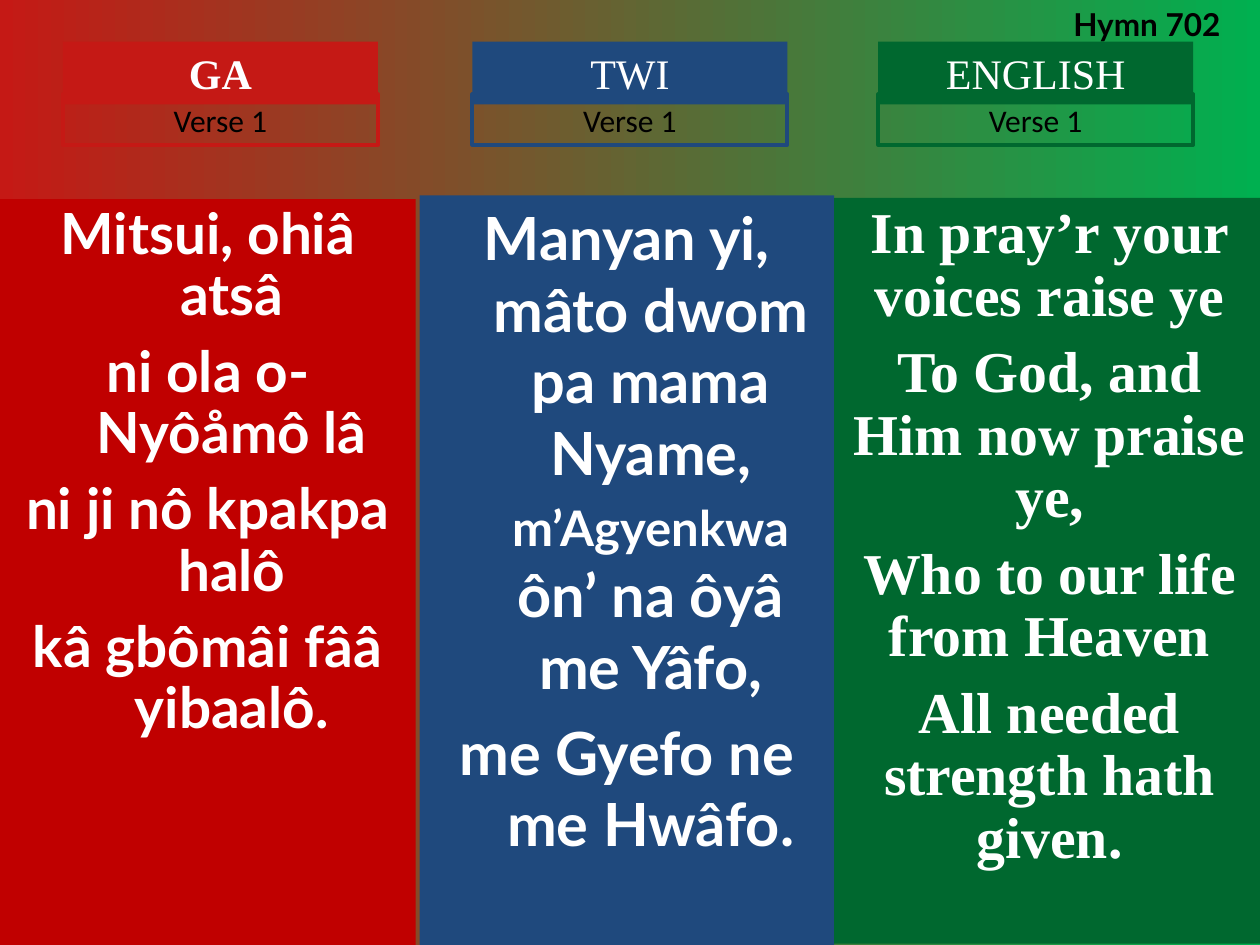
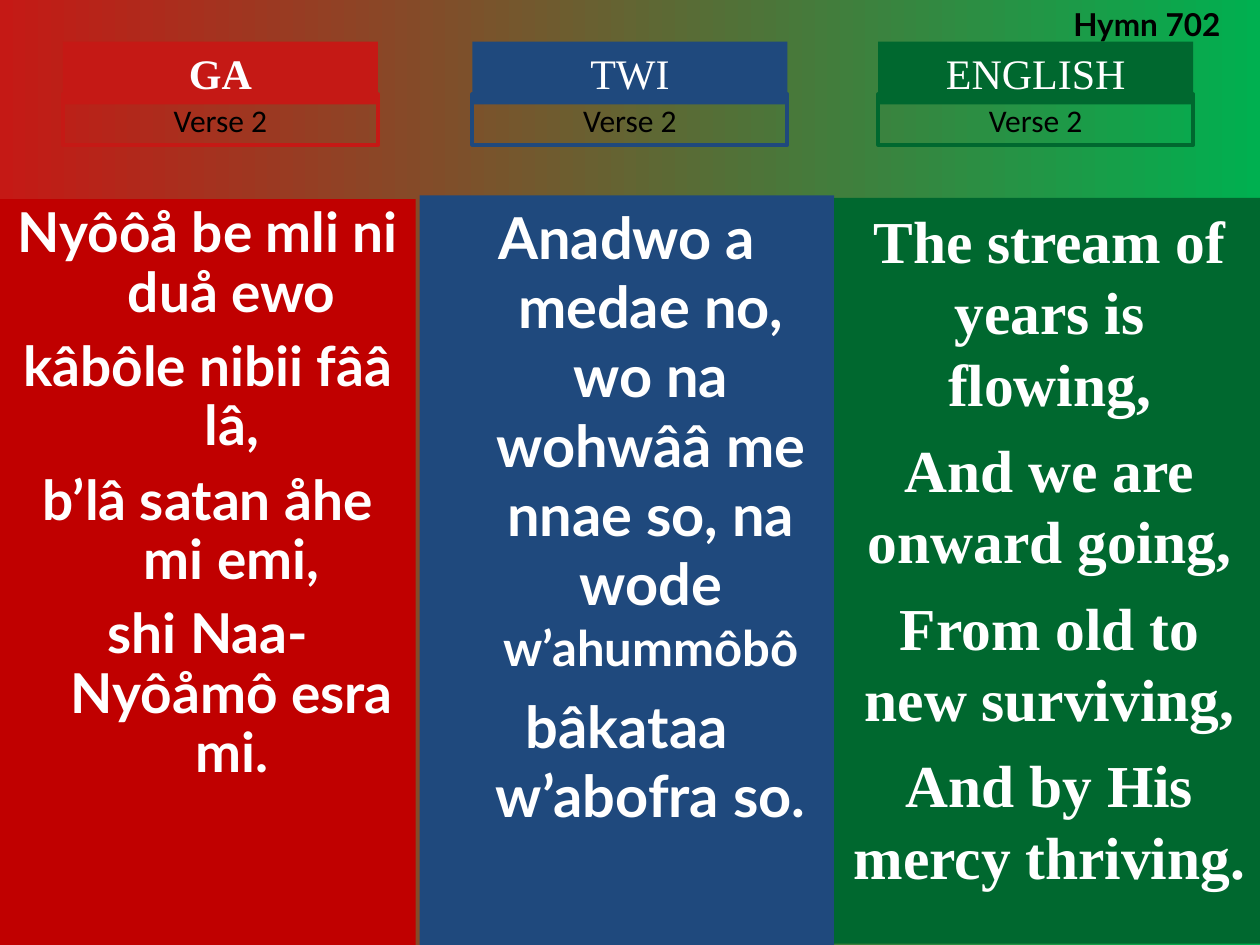
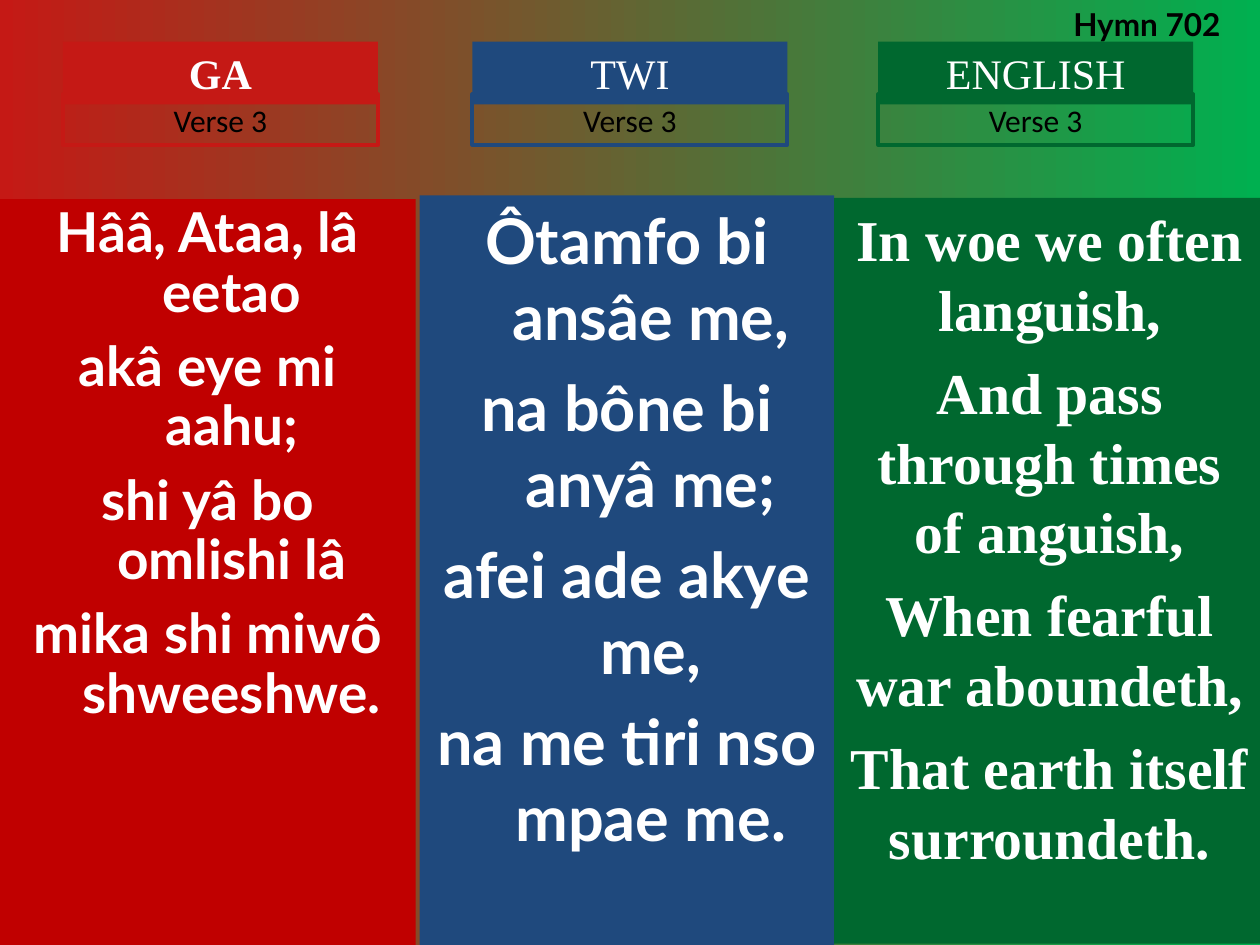
import pptx
import pptx.util
import pptx.dml.color
import pptx.enum.shapes
import pptx.enum.text

Inches, Pt = pptx.util.Inches, pptx.util.Pt
RGBColor = pptx.dml.color.RGBColor
RECT = pptx.enum.shapes.MSO_SHAPE.RECTANGLE
CENTER, LEFT = pptx.enum.text.PP_ALIGN.CENTER, pptx.enum.text.PP_ALIGN.LEFT
TOP = pptx.enum.text.MSO_ANCHOR.TOP
GROW = pptx.enum.text.MSO_AUTO_SIZE.SHAPE_TO_FIT_TEXT

RED = RGBColor(0xC5, 0x19, 0x15)
DEEP_RED = RGBColor(0xC0, 0x00, 0x00)
BLUE = RGBColor(0x1F, 0x49, 0x7D)
GREEN = RGBColor(0x00, 0x68, 0x2F)
LIGHT_GREEN = RGBColor(0x00, 0xB0, 0x50)
WHITE = RGBColor(0xFF, 0xFF, 0xFF)
BLACK = RGBColor(0x00, 0x00, 0x00)

SERIF, SANS, LABEL = "Times New Roman", "Lato", "Calibri"

# Content: per verse and language, text size, line spacing and lines;
# a line is a string or a list of (text, size) runs
HYMN = "Hymn 702"
VERSES = [
    {
        "GA": (32.4, 0.9, ["Mitsui, ohiâ atsâ", "ni ola o-Nyôåmô lâ",
                           "ni ji nô kpakpa halô", "kâ gbômâi fââ yibaalô."]),
        "TWI": (34, 1.0, [[("Manyan yi, mâto dwom pa mama Nyame, ", 34),
                           ("m’Agyenkwa", 28), (" ôn’ na ôyâ me Yâfo,", 34)],
                          "me Gyefo ne me Hwâfo."]),
        "ENGLISH": (33, 0.9, ["In pray’r your voices raise ye",
                              "To God, and Him now praise ye,",
                              "Who to our life from Heaven",
                              "All needed strength hath given."]),
    },
    {
        "GA": (31.4, 0.9, ["Nyôôå be mli ni duå ewo", "kâbôle nibii fââ lâ,",
                           "b’lâ satan åhe mi emi,", "shi Naa-Nyôåmô esra mi."]),
        "TWI": (33, 1.0, [[("Anadwo a medae no, wo na wohwââ me nnae so, na wode ", 33),
                           ("w’ahummôbô", 28)],
                          "bâkataa w’abofra so."]),
        "ENGLISH": (34, 1.0, ["The stream of years is flowing,",
                              "And we are onward going,",
                              "From old to new surviving,",
                              "And by His mercy thriving."]),
    },
    {
        "GA": (31.4, 0.9, ["Hââ, Ataa, lâ eetao", "akâ eye mi aahu;",
                           "shi yâ bo omlishi lâ", "mika shi miwô shweeshwe."]),
        "TWI": (36, 1.0, ["Ôtamfo bi ansâe me,", "na bône bi anyâ me;",
                          "afei ade akye me,", "na me tiri nso mpae me."]),
        "ENGLISH": (33, 1.0, ["In woe we often languish,",
                              "And pass through times of anguish,",
                              "When fearful war aboundeth,",
                              "That earth itself surroundeth."]),
    },
]

# Columns: heading colour and left edge, panel colour and box, text font,
# hanging indent in inches, gap between lines as a share of the text size
COLUMNS = {
    "GA": dict(color=RED, left=0.5, panel=DEEP_RED, box=(0, 1.58, 3.3, 5.92),
               font=SANS, hang=0.38, gap=0.27, bold=True),
    "TWI": dict(color=BLUE, left=3.75, panel=BLUE, box=(3.33, 1.55, 3.29, 5.95),
                font=SANS, hang=0.38, gap=0.25, bold=False),
    "ENGLISH": dict(color=GREEN, left=6.97, panel=GREEN, box=(6.62, 1.57, 3.42, 5.92),
                    font=SERIF, hang=0, gap=0.25, bold=False),
}
HEAD_TOP, HEAD_H = 0.33, 0.5
VERSE_TOP, VERSE_H = 0.75, 0.4
HEAD_W = 2.5


def add_box(slide, box, fill=None, line=None):
    sp = slide.shapes.add_shape(RECT, *map(Inches, box))
    sp.shadow.inherit = False
    if fill is None:
        sp.fill.background()
    else:
        sp.fill.solid()
        sp.fill.fore_color.rgb = fill
    if line is None:
        sp.line.fill.background()
    else:
        sp.line.color.rgb = line
        sp.line.width = Pt(2.25)
    return sp


def add_run(p, text, font, size, color, bold):
    r = p.add_run()
    r.text = text
    r.font.name, r.font.size, r.font.bold = font, Pt(size), bold
    r.font.color.rgb = color


def set_label(sp, text, font, size, color, bold=False, align=CENTER):
    tf = sp.text_frame
    tf.word_wrap, tf.vertical_anchor, tf.auto_size = True, TOP, GROW
    p = tf.paragraphs[0]
    p.alignment = align
    add_run(p, text, font, size, color, bold)


def add_panel(slide, col, size, spacing, lines):
    tf = add_box(slide, col["box"], fill=col["panel"]).text_frame
    tf.word_wrap, tf.vertical_anchor = True, TOP
    for i, line in enumerate(lines):
        p = tf.add_paragraph() if i else tf.paragraphs[0]
        p.alignment, p.line_spacing = CENTER, spacing
        if i:
            p.space_before = Pt(round(size * col["gap"], 1))
        if col["hang"]:
            pPr = p._p.get_or_add_pPr()
            pPr.set("marL", str(Inches(col["hang"])))
            pPr.set("indent", str(-Inches(col["hang"])))
        runs = [(line, size)] if isinstance(line, str) else line
        for text, run_size in runs:
            add_run(p, text, col["font"], run_size, WHITE, True)


def add_verse_slide(prs, number, verse):
    slide = prs.slides.add_slide(prs.slide_layouts[6])
    # Lyrics panels
    for lang, col in COLUMNS.items():
        add_panel(slide, col, *verse[lang])
    # Language headings and verse labels
    for lang, col in COLUMNS.items():
        head = add_box(slide, (col["left"], HEAD_TOP, HEAD_W, HEAD_H), fill=col["color"])
        set_label(head, lang, SERIF, 24, WHITE, col["bold"])
        label = add_box(slide, (col["left"], VERSE_TOP, HEAD_W, VERSE_H), line=col["color"])
        set_label(label, f"Verse {number}", LABEL, 18, BLACK)
    # Hymn number
    hymn = slide.shapes.add_textbox(*map(Inches, (8.42, -0.01, 1.5, 0.4)))
    set_label(hymn, HYMN, SANS, 18, BLACK, True, LEFT)


def main():
    prs = pptx.Presentation()
    prs.slide_width, prs.slide_height = Inches(10), Inches(7.5)
    # Shared background, red to green from left to right
    fill = prs.slide_master.background.fill
    fill.gradient()
    fill.gradient_angle = 0
    for stop, position, color in zip(fill.gradient_stops, (0, 1), (RED, LIGHT_GREEN)):
        stop.position = position
        stop.color.rgb = color
    for number, verse in enumerate(VERSES, 1):
        add_verse_slide(prs, number, verse)
    prs.save("out.pptx")


if __name__ == "__main__":
    main()
